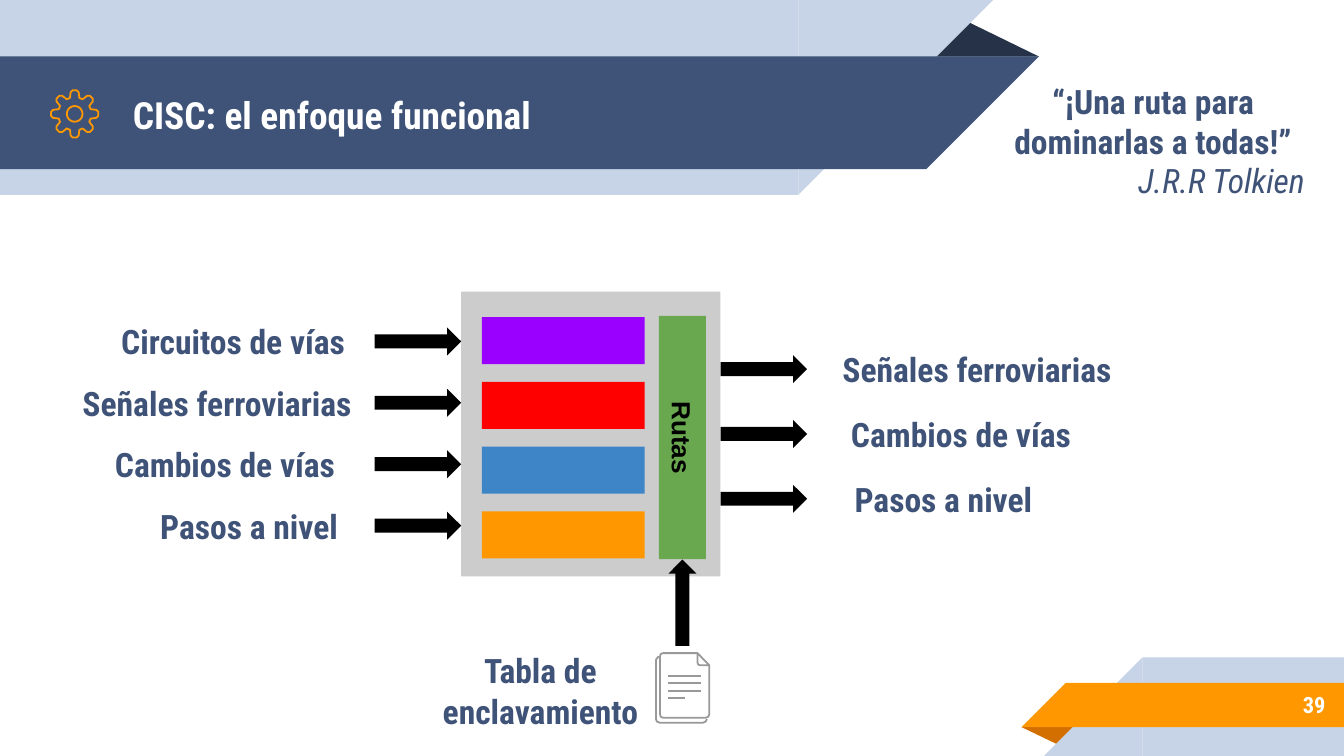
from math import cos, radians, sin

from lxml.etree import SubElement
from pptx import Presentation
from pptx.dml.color import RGBColor
from pptx.enum.shapes import MSO_CONNECTOR, MSO_SHAPE
from pptx.enum.text import MSO_ANCHOR, PP_ALIGN
from pptx.oxml.ns import qn
from pptx.util import Pt

NAVY, PALE, ORANGE, GRAY = "3F5378", "C7D3E6", "FF9800", "999999"
ARROW_LENGTH, ARROW_HEIGHT = 46.3, 15


def color(hex_code):
    return RGBColor.from_string(hex_code)


def write_text(shape, text, size=18, font="Roboto Condensed", fill=NAVY,
               bold=True, italic=False, align=PP_ALIGN.CENTER, spacing=None):
    frame = shape.text_frame
    frame.word_wrap = True
    frame.vertical_anchor = MSO_ANCHOR.MIDDLE
    frame.margin_left = frame.margin_right = Pt(7.2)
    frame.margin_top = frame.margin_bottom = Pt(7.2)
    para = frame.paragraphs[0]
    para.alignment = align
    if spacing:
        para.line_spacing = spacing
    span = para.add_run()
    span.text = text
    span.font.name = font
    span.font.size = Pt(size)
    span.font.bold = bold
    span.font.italic = italic
    span.font.color.rgb = color(fill)


def ring(center_x, center_y, polar_points):
    return [(center_x + radius * cos(radians(angle)),
             center_y + radius * sin(radians(angle)))
            for angle, radius in polar_points]


class SlideBuilder:
    def __init__(self, slide, line_width=0.96):
        self.slide = slide
        self.shapes = slide.shapes
        self.line_width = line_width

    def shape(self, kind, left, top, width, height, fill, rotation=0):
        box = self.shapes.add_shape(kind, Pt(left), Pt(top), Pt(width), Pt(height))
        box.shadow.inherit = False
        box.fill.solid()
        box.fill.fore_color.rgb = color(fill)
        box.line.fill.background()
        box.rotation = rotation
        return box

    def rect(self, left, top, width, height, fill, rotation=0):
        return self.shape(MSO_SHAPE.RECTANGLE, left, top, width, height, fill, rotation)

    def corner(self, left, top, side, fill, rotation):
        self.shape(MSO_SHAPE.RIGHT_TRIANGLE, left, top, side, side, fill, rotation)

    def fold(self, left, top, width, height, fill, rotation=0):
        box = self.shape(MSO_SHAPE.ISOSCELES_TRIANGLE, left, top, width, height,
                         fill, rotation)
        box.adjustments[0] = 0.324

    def arrow(self, center_x, center_y, rotation=0):
        self.shape(MSO_SHAPE.RIGHT_ARROW, center_x - ARROW_LENGTH / 2,
                   center_y - ARROW_HEIGHT / 2, ARROW_LENGTH, ARROW_HEIGHT,
                   "000000", rotation)

    def text(self, text, left, top, width, height, **text_format):
        box = self.shapes.add_textbox(Pt(left), Pt(top), Pt(width), Pt(height))
        write_text(box, text, **text_format)

    def outline(self, contours, stroke, close=False):
        points = [[(Pt(x), Pt(y)) for x, y in contour] for contour in contours]
        builder = self.shapes.build_freeform(*points[0][0])
        builder.add_line_segments(points[0][1:], close=close)
        for contour in points[1:]:
            builder.move_to(*contour[0])
            builder.add_line_segments(contour[1:], close=close)
        path = builder.convert_to_shape()
        path.shadow.inherit = False
        path.fill.background()
        path.line.color.rgb = color(stroke)
        path.line.width = Pt(self.line_width)

    def line(self, start_x, end_x, y, stroke):
        rule = self.shapes.add_connector(MSO_CONNECTOR.STRAIGHT, Pt(start_x), Pt(y),
                                         Pt(end_x), Pt(y))
        rule.line.color.rgb = color(stroke)
        rule.line.width = Pt(self.line_width)
        SubElement(rule._element.spPr, qn("a:effectLst"))


def draw_ribbons(page):
    # Header ribbon
    page.fold(495.4, 10.1, 61.2, 20.2, "263248")
    page.rect(0, 0, 427.7, 104.4, PALE)
    page.corner(427.7, 0, 104.4, PALE, 90)
    page.rect(0, 30.2, 496.1, 60.5, NAVY)
    page.corner(496.1, 30.2, 60.5, NAVY, 90)

    # Footer ribbon
    page.fold(547.2, 389.5, 31, 10.1, "D26F00", 180)
    page.rect(612, 352.2, 108, 52.8, PALE)
    page.corner(559.2, 352.2, 52.8, PALE, 270)
    page.rect(571, 365.8, 149, 23.8, ORANGE)
    page.corner(547.2, 365.8, 23.8, ORANGE, 270)


def draw_gear(page):
    tooth = [(-16.5, 8.9), (-10.5, 11.8), (-5, 12.7), (5, 12.7), (10.5, 11.8), (16.5, 8.9)]
    teeth = [(45 * index + angle, radius) for index in range(8) for angle, radius in tooth]
    hole = [(15 * index, 4.2) for index in range(24)]
    page.outline([ring(40, 61, teeth), ring(40, 61, hole)], ORANGE, close=True)


def draw_document(page):
    back_sheet = [(378.7, 385.2), (378, 386.6), (376.6, 387.2), (353.5, 387.2),
                  (351.9, 386.6), (351.4, 385.2), (351.4, 353.5), (352.8, 351.6)]
    front_sheet = [(380, 356.4), (380, 382.7), (379.4, 384), (378, 384.5), (355.3, 384.5),
                   (354, 384), (353.6, 382.7), (353.6, 351.6), (354, 350.3),
                   (355.3, 349.9), (373.7, 349.9)]
    folded_corner = [(373.7, 355), (373.7, 349.9), (380, 356.4), (375.1, 356.4),
                     (374.1, 356)]
    page.outline([back_sheet], GRAY)
    page.outline([front_sheet], GRAY)
    page.outline([folded_corner], GRAY, close=True)
    for index, end_x in enumerate([375.8, 375.8, 375.8, 367.2]):
        page.line(357.8, end_x, 362.1 + 4 * index, GRAY)


def draw_flows(page, labels, arrow_x, first_y, step):
    for index, (text, left, width, height) in enumerate(labels):
        center_y = first_y + step * index
        page.arrow(arrow_x, center_y)
        page.text(text, left, center_y - height / 2, width, height)


def main():
    deck = Presentation()
    deck.slide_width, deck.slide_height = Pt(720), Pt(405)
    page = SlideBuilder(deck.slides.add_slide(deck.slide_layouts[6]))

    draw_ribbons(page)
    draw_gear(page)

    # Title, quotation and page number
    page.text("CISC: el enfoque funcional", 64.1, 31, 432.7, 60.5, size=20,
              fill="FFFFFF", align=PP_ALIGN.LEFT)
    page.text("“¡Una ruta para dominarlas a todas!”", 534.2, 34.6, 167, 60.5)
    page.text("J.R.R Tolkien", 602.6, 76.3, 117.4, 37.4, bold=False, italic=True,
              align=PP_ALIGN.LEFT, spacing=1.15)
    page.text("39", 599.8, 365, 117.4, 25.2, size=12, fill="FFFFFF",
              align=PP_ALIGN.RIGHT)

    # Interlocking unit with its four blocks and the route column
    page.rect(247, 156.2, 139, 152.6, "CCCCCC")
    for index, fill in enumerate(["9900FF", "FF0000", "3D85C6", ORANGE]):
        page.rect(258.2, 169.9 + 34.7 * index, 87.1, 25.2, fill)
    routes = page.rect(300.4, 221.8, 130.3, 25.2, "6AA84F", rotation=90)
    write_text(routes, "Rutas", size=14, font="Arial", fill="000000")

    # Inputs and outputs
    inputs = [("Circuitos de vías", 49.7, 150.5, 43.9),
              ("Señales ferroviarias", 32.4, 167.8, 43.9),
              ("Cambios de vías", 41, 159.1, 60.5),
              ("Pasos a nivel", 66.2, 134.6, 60.5)]
    outputs = [("Señales ferroviarias", 432.7, 181.4, 43.9),
               ("Cambios de vías", 432.7, 164.2, 60.5),
               ("Pasos a nivel", 432.7, 145.4, 60.5)]
    draw_flows(page, inputs, 223.9, 182.9, 32.9)
    draw_flows(page, outputs, 409.2, 197.8, 34.7)

    # Interlocking table feeding the routes
    draw_document(page)
    page.arrow(365.6, 322.9, rotation=270)
    page.text("Tabla de enclavamiento", 225.4, 339.8, 128.2, 60.5)

    deck.save("out.pptx")


if __name__ == "__main__":
    main()
